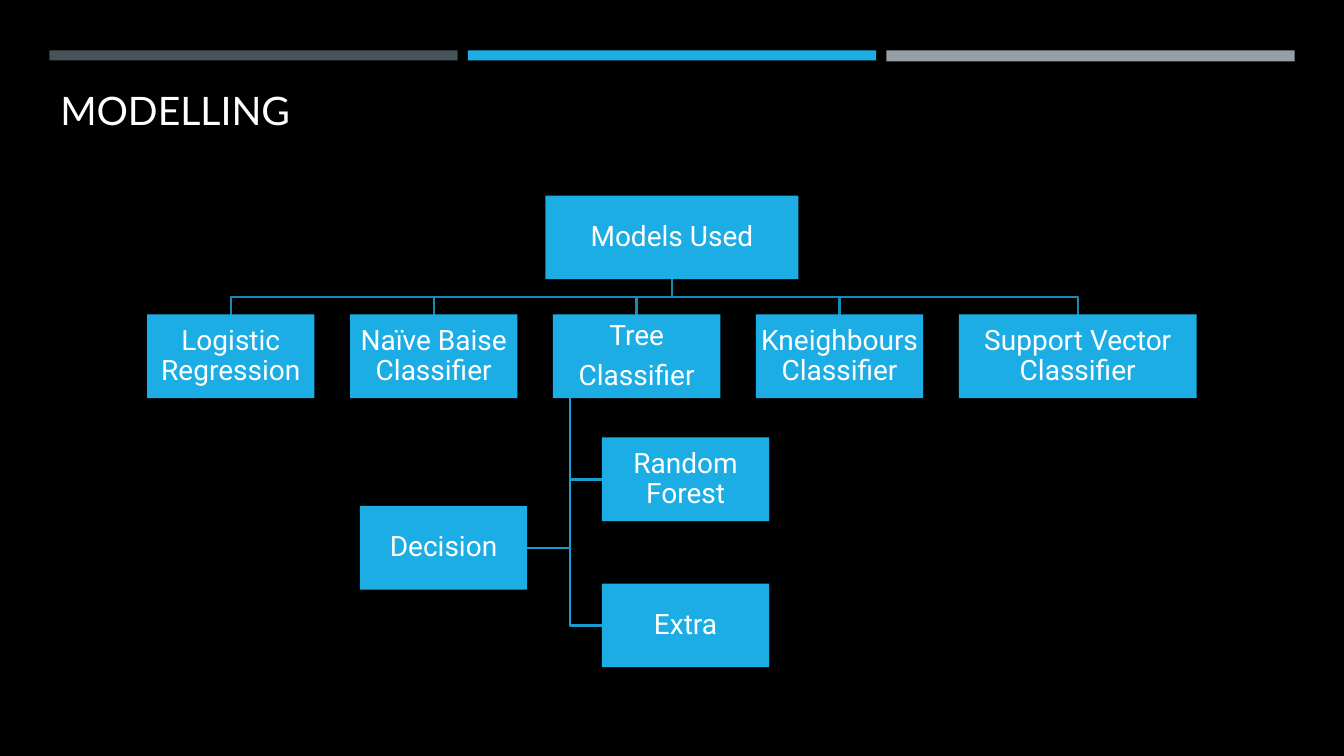
from collections import namedtuple

from pptx import Presentation
from pptx import util as u
from pptx.dml.color import RGBColor
from pptx.enum import shapes, text

BLACK = RGBColor(0x00, 0x00, 0x00)
WHITE = RGBColor(0xFF, 0xFF, 0xFF)
SLATE = RGBColor(0x46, 0x53, 0x59)
BLUE = RGBColor(0x1C, 0xAD, 0xE4)
SILVER = RGBColor(0x96, 0x9F, 0xA7)
UPPER_LINK = RGBColor(0x16, 0x8B, 0xB7)
LOWER_LINK = RGBColor(0x19, 0x9D, 0xCF)

# Grid of the chart, in inches
WIDTH, HEIGHT = 13.33, 7.5
BOX_WIDTH, BOX_HEIGHT = 1.66, 0.83
FIRST_COLUMN, LAST_COLUMN = 1.46, 9.51
ROOT_TOP, MODELS_TOP = 1.94, 3.12
TRUNK_SHARE = 0.1  # where the trunk leaves the tree box, as a share of its width

MODELS = ["Logistic Regression", "Naïve Baise Classifier", "Tree\nClassifier",
          "Kneighbours Classifier", "Support Vector Classifier"]
COLUMN_STEP = (LAST_COLUMN - FIRST_COLUMN) / (len(MODELS) - 1)
TREE_COLUMN = 2
WIDE_BOX = 2.36

Box = namedtuple("Box", "label left top width height",
                 defaults=(BOX_WIDTH, BOX_HEIGHT))


def middle(box):
    return box.left + box.width / 2


def set_text(frame, label, size, font_name, margin, paragraph_format):
    """Write one paragraph for each line of the label."""
    frame_format = {"word_wrap": True, "vertical_anchor": text.MSO_ANCHOR.MIDDLE}
    for side in ("left", "right", "top", "bottom"):
        if margin is not None:
            frame_format["margin_" + side] = u.Inches(margin)
    for name, value in frame_format.items():
        setattr(frame, name, value)
    for index, line in enumerate(label.split("\n")):
        paragraph = frame.add_paragraph() if index else frame.paragraphs[0]
        for name, value in paragraph_format.items():
            setattr(paragraph, name, value)
        run = paragraph.add_run()
        run.text = line
        for name, value in {"name": font_name, "size": u.Pt(size)}.items():
            setattr(run.font, name, value)
        run.font.color.rgb = WHITE


def add_rectangle(slide, left, top, width, height, color):
    shape = slide.shapes.add_shape(
        shapes.MSO_SHAPE.RECTANGLE,
        *(u.Inches(length) for length in (left, top, width, height)))
    shape.shadow.inherit = False
    shape.fill.solid()
    shape.fill.fore_color.rgb = color
    shape.line.fill.background()
    return shape


def add_box(slide, box):
    shape = add_rectangle(slide, box.left, box.top, box.width, box.height, BLUE)
    set_text(shape.text_frame, box.label, 20, "Roboto", 0.01,
             {"alignment": text.PP_ALIGN.CENTER, "line_spacing": 0.9,
              "space_after": u.Pt(7)})


def add_link(slide, points, color):
    """Draw an open line with square bends through the points."""
    start, *rest = [(u.Inches(x), u.Inches(y)) for x, y in points]
    builder = slide.shapes.build_freeform(*start)
    builder.add_line_segments(rest, close=False)
    shape = builder.convert_to_shape()
    shape.shadow.inherit = False
    shape.fill.background()
    shape.line.color.rgb = color
    shape.line.width = u.Pt(1.75)


def add_header(slide):
    for column, (color, height) in enumerate(
            [(SLATE, 0.1), (BLUE, 0.1), (SILVER, 0.11)]):
        add_rectangle(slide, 0.49 + column * 4.15, 0.5, 4.05, height, color)
    title = slide.shapes.add_textbox(
        *(u.Inches(length) for length in (0.5, 0.73, 12.06, 0.72)))
    set_text(title.text_frame, "MODELLING", 28, "Lato", None, {"line_spacing": 1.0})


def add_model_chart(slide):
    root = Box("Models Used", (WIDTH - 2.51) / 2, ROOT_TOP, 2.51)
    models = [Box(label, FIRST_COLUMN + column * COLUMN_STEP, MODELS_TOP)
              for column, label in enumerate(MODELS)]
    models[-1] = models[-1]._replace(width=WIDE_BOX)
    tree = models[TREE_COLUMN]
    trees = [Box("Random Forest", 5.97, 4.34), Box("Decision", 3.57, 5.02),
             Box("Extra", 5.97, 5.79)]

    # Links from the root down to each model
    root_bottom = root.top + root.height
    bend = (root_bottom + MODELS_TOP) / 2
    for model in models:
        add_link(slide, [(middle(root), root_bottom), (middle(root), bend),
                         (middle(model), bend), (middle(model), MODELS_TOP)],
                 UPPER_LINK)

    # Links from the trunk to the near side of each kind of tree
    trunk = tree.left + TRUNK_SHARE * tree.width
    for box in trees:
        side = box.left if box.left > trunk else box.left + box.width
        level = box.top + box.height / 2
        add_link(slide, [(trunk, tree.top + tree.height), (trunk, level),
                         (side, level)], LOWER_LINK)

    for box in [root, *models, *trees]:
        add_box(slide, box)


def main():
    presentation = Presentation()
    presentation.slide_width = u.Inches(WIDTH)
    presentation.slide_height = u.Inches(HEIGHT)
    slide = presentation.slides.add_slide(presentation.slide_layouts[6])
    slide.background.fill.solid()
    slide.background.fill.fore_color.rgb = BLACK
    add_header(slide)
    add_model_chart(slide)
    presentation.save("out.pptx")


if __name__ == "__main__":
    main()
